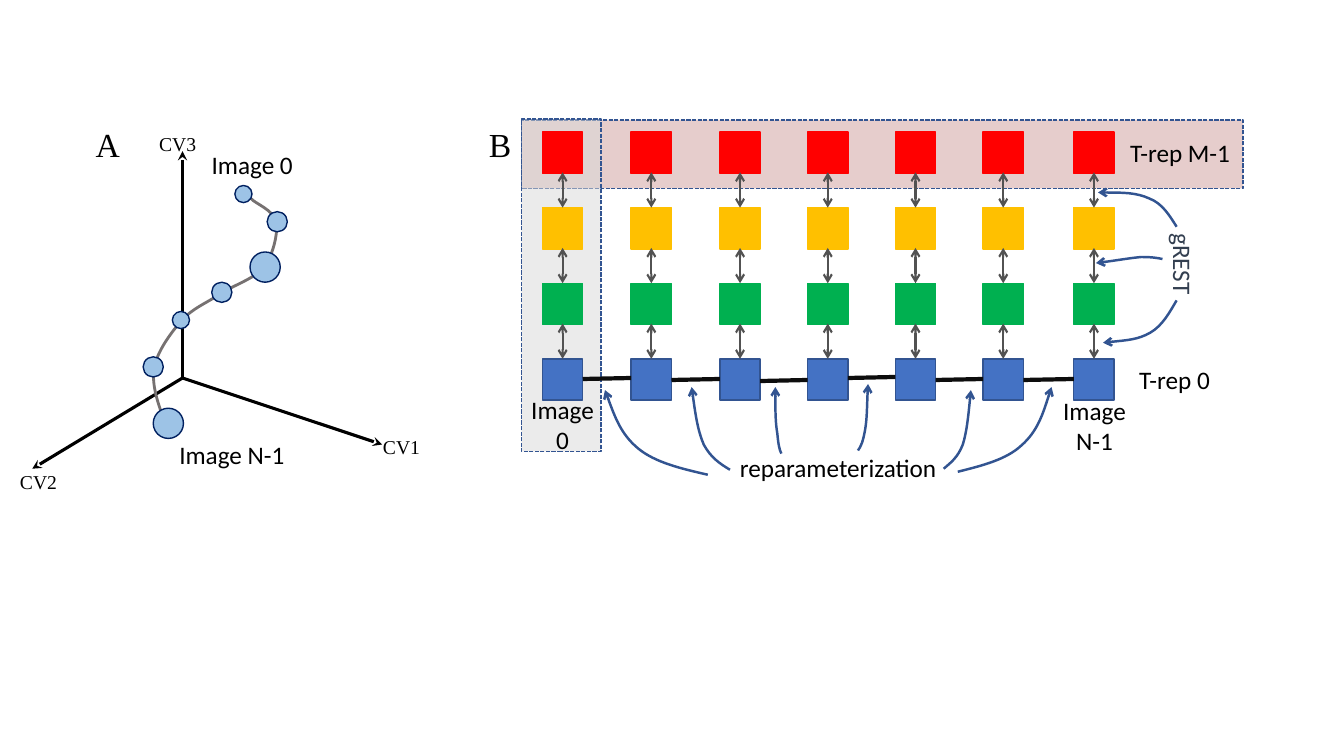
from dataclasses import dataclass

from lxml.etree import SubElement
from pptx import Presentation
from pptx.dml.color import RGBColor
from pptx.enum.dml import MSO_LINE
from pptx.enum.shapes import MSO_CONNECTOR, MSO_SHAPE
from pptx.enum.text import MSO_AUTO_SIZE, PP_ALIGN
from pptx.oxml.ns import qn
from pptx.util import Inches, Pt


@dataclass(frozen=True)
class Theme:
    black: str = "000000"
    outline: str = "325491"
    node: str = "9DC3E6"
    node_line: str = "002060"
    pathway: str = "767171"
    exchange: str = "525252"
    link: str = "0D0D0D"
    band: str = "E6CDCC"
    column: str = "D9D9D9"
    grest: str = "333F50"
    hot: str = "FF0000"
    warm: str = "FFC000"
    mild: str = "00B050"
    cold: str = "4472C4"
    sans: str = "Calibri"
    serif: str = "Times New Roman"
    label: int = 18
    panel: int = 24
    axis: int = 14


T = Theme()

# Panel A: axis ends, axis label positions, string of images
ORIGIN = (1.81, 3.75)
AXES = [((0.32, 4.65), "CV2", (0.1, 4.61)),
        ((1.81, 1.5), "CV3", (1.48, 1.26)),
        ((3.79, 4.41), "CV1", (3.7, 4.27))]
PATHWAY = [(2.47, 1.91), (2.46, 1.92), (2.45, 1.92), (2.49, 1.97),
           (2.53, 2.02), (2.71, 2.08), (2.74, 2.2),
           (2.76, 2.31), (2.71, 2.53), (2.62, 2.65),
           (2.52, 2.77), (2.31, 2.83), (2.18, 2.92),
           (2.04, 3.01), (1.91, 3.06), (1.8, 3.18),
           (1.7, 3.3), (1.56, 3.48), (1.53, 3.65),
           (1.5, 3.82), (1.57, 4.01), (1.64, 4.2)]
NODES = [(2.33, 1.84, 0.17), (2.65, 2.1, 0.2), (2.48, 2.5, 0.3), (2.1, 2.8, 0.2),
         (1.71, 3.09, 0.17), (1.42, 3.54, 0.2), (1.52, 4.05, 0.3)]

# Panel B: replica grid and curved pointers
COLUMNS = [5.38, 6.26, 7.14, 8.01, 8.88, 9.75, 10.65]
ROW_TOP, ROW_STEP = 1.31, 0.75
SQUARE_W, SQUARE_H = 0.4, 0.41
ROWS = [(T.hot, T.hot), (T.warm, T.warm), (T.mild, T.mild), (T.cold, T.outline)]
LINK_Y = [3.76, 3.77, 3.78, 3.75, 3.77, 3.77]
REPARAMETERIZATION = [
    [(7.24, 4.66), (7.14, 4.6), (7.05, 4.54), (6.98, 4.41), (6.92, 4.27), (6.89, 4.06), (6.86, 3.84)],
    [(7.75, 4.5), (7.73, 4.46), (7.72, 4.41), (7.71, 4.3), (7.69, 4.19), (7.69, 4.01), (7.69, 3.84)],
    [(8.51, 4.47), (8.54, 4.43), (8.56, 4.38), (8.58, 4.27), (8.6, 4.16), (8.6, 3.98), (8.61, 3.81)],
    [(9.36, 4.65), (9.43, 4.59), (9.5, 4.54), (9.55, 4.41), (9.59, 4.28), (9.61, 4.07), (9.63, 3.87)],
    [(7.02, 4.71), (6.76, 4.65), (6.5, 4.59), (6.33, 4.45), (6.16, 4.31), (6.08, 4.09), (6, 3.87)],
    [(9.5, 4.68), (9.74, 4.62), (9.98, 4.56), (10.13, 4.42), (10.29, 4.28), (10.36, 4.06), (10.43, 3.84)],
]
GREST = [
    [(11.67, 2.25), (11.6, 2.14), (11.53, 2.02), (11.4, 1.97), (11.27, 1.91), (11.08, 1.91), (10.89, 1.91)],
    [(11.67, 2.98), (11.6, 3.1), (11.53, 3.23), (11.41, 3.3), (11.29, 3.37), (11.12, 3.38), (10.94, 3.4)],
    [(11.53, 2.57), (11.48, 2.56), (11.43, 2.55), (11.32, 2.55), (11.21, 2.56), (11.04, 2.59), (10.87, 2.61)],
]


def set_line(s, color, width, dash=None, head=None, tail=None):
    s.line.color.rgb = RGBColor.from_string(color)
    for name, value in {"width": Pt(width), "dash_style": dash}.items():
        setattr(s.line, name, value)
    ln = s._element.spPr.find(qn("a:ln"))
    for tag, kind in {"a:headEnd": head, "a:tailEnd": tail}.items():
        if kind:
            SubElement(ln, qn(tag), type=kind)


def add_box(slide, kind, x, y, w, h, fill, line, dash=None, alpha=None):
    s = slide.shapes.add_shape(kind, Inches(x), Inches(y), Inches(w), Inches(h))
    s.shadow.inherit = False
    s.fill.solid()
    s.fill.fore_color.rgb = RGBColor.from_string(fill)
    if alpha:
        color = s._element.spPr.find(qn("a:solidFill"))[0]
        SubElement(color, qn("a:alpha"), val=str(alpha * 1000))
    set_line(s, line, 1, dash)


def add_line(slide, start, end, color, width, **ends):
    s = slide.shapes.add_connector(MSO_CONNECTOR.STRAIGHT,
                                   *(Inches(v) for v in (*start, *end)))
    set_line(s, color, width, **ends)
    SubElement(s._element.spPr, qn("a:effectLst"))


def add_curve(slide, points, color, width, **ends):
    """Draw cubic curves: a start point, then three points per curve."""
    start, *rest = [(Inches(x), Inches(y)) for x, y in points]
    builder = slide.shapes.build_freeform(*start)
    builder.add_line_segments(rest, close=False)
    s = builder.convert_to_shape()
    s.shadow.inherit = False
    s.fill.background()
    set_line(s, color, width, **ends)
    # Turn each three straight segments into one cubic curve
    segments = list(s._element.iter(qn("a:lnTo")))
    outline = segments[0].getparent()
    for i in range(0, len(segments), 3):
        curve = SubElement(outline, qn("a:cubicBezTo"))
        for segment in segments[i:i + 3]:
            curve.append(segment[0])
            outline.remove(segment)


def add_text(slide, text, x, y, w, h=0.4, size=T.label, font=T.sans,
             color=T.black, align=PP_ALIGN.LEFT, rotation=0):
    s = slide.shapes.add_textbox(Inches(x), Inches(y), Inches(w), Inches(h))
    s.rotation = rotation
    tf = s.text_frame
    tf.text = text
    tf.word_wrap = False
    tf.auto_size = MSO_AUTO_SIZE.SHAPE_TO_FIT_TEXT
    for p in tf.paragraphs:
        p.alignment = align
        for r in p.runs:
            for name, value in {"name": font, "size": Pt(size)}.items():
                setattr(r.font, name, value)
            r.font.color.rgb = RGBColor.from_string(color)


def draw_string(slide):
    # Axes, with the pathway above them
    for end, label, (x, y) in AXES:
        add_line(slide, ORIGIN, end, T.black, 2.25, tail="stealth")
        add_text(slide, label, x, y, 0.57, 0.34, T.axis, T.serif)
    add_curve(slide, PATHWAY, T.pathway, 2)
    for x, y, size in NODES:
        add_box(slide, MSO_SHAPE.OVAL, x, y, size, size, T.node, T.node_line)
    add_text(slide, "Image 0", 2, 1.43, 1.02)
    add_text(slide, "Image N-1", 1.68, 4.31, 1.26)
    add_text(slide, "A", 0.85, 1.18, 0.45, 0.5, T.panel, T.serif)


def draw_replicas(slide):
    # Highlighted row and column
    add_box(slide, MSO_SHAPE.RECTANGLE, 5.17, 1.19, 7.16, 0.68,
            T.band, T.outline, MSO_LINE.SQUARE_DOT)
    add_box(slide, MSO_SHAPE.RECTANGLE, 5.17, 1.18, 0.79, 3.3,
            T.column, T.outline, MSO_LINE.SQUARE_DOT, alpha=50)
    # Replica grid with exchange arrows between rows
    for x in COLUMNS:
        for row, (fill, line) in enumerate(ROWS):
            y = ROW_TOP + row * ROW_STEP
            add_box(slide, MSO_SHAPE.RECTANGLE, x, y, SQUARE_W, SQUARE_H, fill, line)
            if row:
                middle = x + SQUARE_W / 2
                add_line(slide, (middle, y), (middle, y - 0.35), T.exchange, 1.5,
                         head="arrow", tail="arrow")
    # Links along the bottom row
    for left, right, y in zip(COLUMNS, COLUMNS[1:], LINK_Y):
        add_line(slide, (left + SQUARE_W, y), (right, y - 0.01), T.link, 3)
    # Curved pointers
    for points in REPARAMETERIZATION + GREST:
        add_curve(slide, points, T.outline, 1.75, tail="arrow")
    # Labels
    add_text(slide, "Image\n0", 5.16, 3.86, 0.84, 0.71, align=PP_ALIGN.CENTER)
    add_text(slide, "Image\nN-1", 10.44, 3.87, 0.83, 0.71, align=PP_ALIGN.CENTER)
    add_text(slide, "reparameterization", 7.24, 4.44, 2.17)
    add_text(slide, "T-rep 0", 11.2, 3.57, 0.93)
    add_text(slide, "T-rep M-1", 11.11, 1.31, 1.22)
    add_text(slide, "gREST", 11.33, 2.42, 0.81, color=T.grest, rotation=90)
    add_text(slide, "B", 4.75, 1.18, 0.43, 0.5, T.panel, T.serif)


def main():
    prs = Presentation()
    prs.slide_width, prs.slide_height = Inches(13.33), Inches(7.5)
    slide = prs.slides.add_slide(prs.slide_layouts[6])
    draw_string(slide)
    draw_replicas(slide)
    prs.save("out.pptx")


if __name__ == "__main__":
    main()
